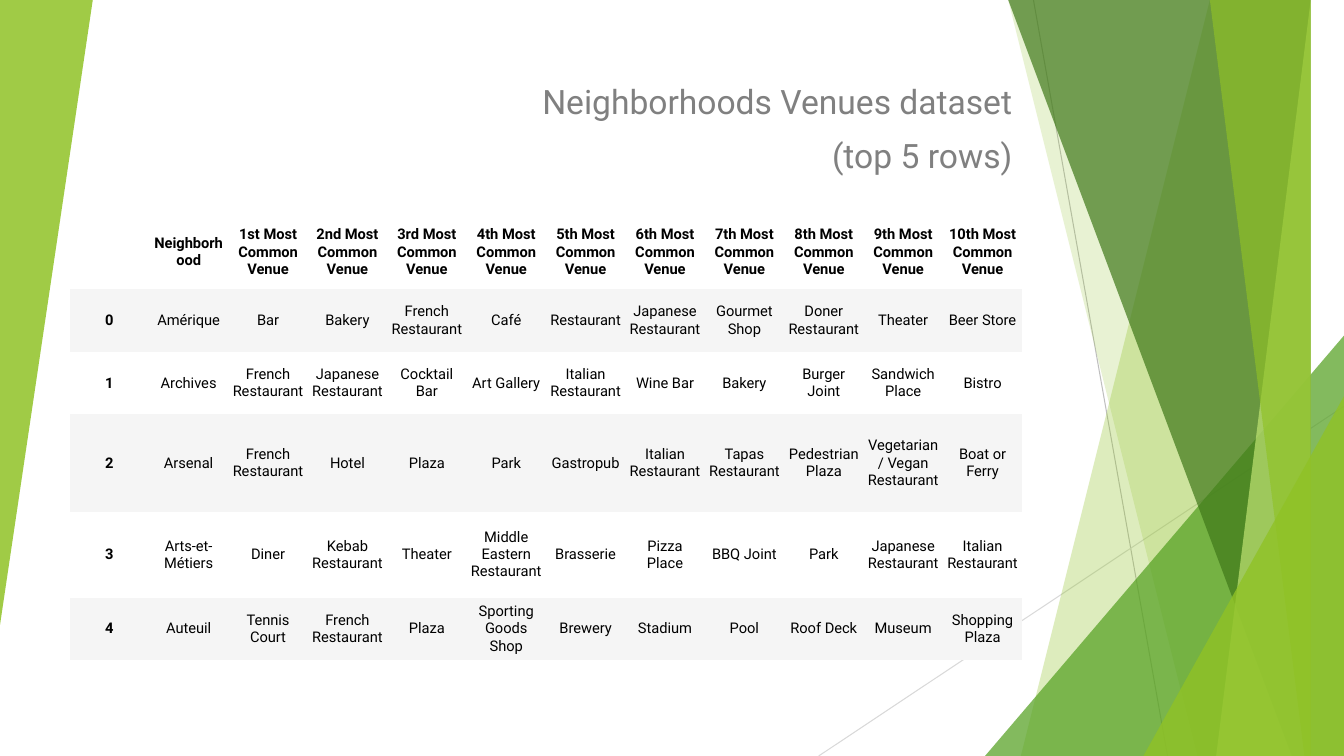
from lxml import etree
from pptx import Presentation
from pptx.dml.color import RGBColor
from pptx.enum.shapes import MSO_CONNECTOR, MSO_SHAPE
from pptx.enum.text import MSO_ANCHOR, MSO_AUTO_SIZE, PP_ALIGN
from pptx.oxml.ns import qn
from pptx.util import Inches, Pt

LINE, TRIANGLE = MSO_CONNECTOR.STRAIGHT, MSO_SHAPE.ISOSCELES_TRIANGLE
TOP, MIDDLE = MSO_ANCHOR.TOP, MSO_ANCHOR.MIDDLE
CENTER, RIGHT = PP_ALIGN.CENTER, PP_ALIGN.RIGHT
NO_FIT = MSO_AUTO_SIZE.NONE
NO_STYLE = "{2D5ABB26-0587-4C30-8999-92F81FD0307C}"
FONT = "Roboto"
WIDE, HIGH, OVER = 13.33, 7.5, -0.01

TITLE = "Neighborhoods Venues dataset\n(top 5 rows)"
RANKS = ["1st", "2nd", "3rd", "4th", "5th", "6th", "7th", "8th", "9th", "10th"]
VENUES = [
    ["Amérique", "Bar", "Bakery", "French Restaurant", "Café", "Restaurant",
     "Japanese Restaurant", "Gourmet Shop", "Doner Restaurant", "Theater",
     "Beer Store"],
    ["Archives", "French Restaurant", "Japanese Restaurant", "Cocktail Bar",
     "Art Gallery", "Italian Restaurant", "Wine Bar", "Bakery",
     "Burger Joint", "Sandwich Place", "Bistro"],
    ["Arsenal", "French Restaurant", "Hotel", "Plaza", "Park", "Gastropub",
     "Italian Restaurant", "Tapas Restaurant", "Pedestrian Plaza",
     "Vegetarian / Vegan Restaurant", "Boat or Ferry"],
    ["Arts-et-Métiers", "Diner", "Kebab Restaurant", "Theater",
     "Middle Eastern Restaurant", "Brasserie", "Pizza Place", "BBQ Joint",
     "Park", "Japanese Restaurant", "Italian Restaurant"],
    ["Auteuil", "Tennis Court", "French Restaurant", "Plaza",
     "Sporting Goods Shop", "Brewery", "Stadium", "Pool", "Roof Deck",
     "Museum", "Shopping Plaza"],
]
HEIGHTS = [0.74, 0.62, 0.62, 0.97, 0.85, 0.62]
RAYS = [((10.25, 0), (11.58, HIGH), "BFBFBF"),
        ((WIDE, 4.03), (8.12, HIGH), "D9D9D9")]
# Bands reach the right edge: top left x, bottom left x, colour, opacity.
# Wedges: left, top, width, height, turn, colour, opacity.
DECOR = [
    ("band", 12.28, 10.04, "90C226", 30),
    ("band", 10.5, 11.83, "90C226", 20),
    ("wedge", 9.77, 3.33, 3.56, 4.17, 0, "54A021", 72),
    ("band", 10.21, 12.91, "3F7819", 70),
    ("band", 13.03, 11.92, "C0E474", 70),
    ("band", 11.96, 13.18, "90C226", 65),
    ("wedge", 11.34, 3.93, 1.99, 3.57, 0, "90C226", 80),
    ("wedge", 0, 0, 0.92, 6.2, 180, "90C226", 85),
]


def paint(item, color):
    item.fill.solid()
    item.fill.fore_color.rgb = RGBColor.from_string(color)


def glaze(shape, color, alpha):
    """Fill a shape with a translucent colour, without line or shadow."""
    shape.shadow.inherit = False
    shape.line.fill.background()
    paint(shape, color)
    tone = shape._element.spPr.find(qn("a:solidFill"))[0]
    etree.SubElement(tone, qn("a:alpha")).set("val", str(alpha * 1000))


def style(run, size, color, bold=False):
    run.font.name, run.font.size, run.font.bold = FONT, Pt(size), bold
    run.font.color.rgb = RGBColor.from_string(color)


def add_ray(shapes, start, end, color):
    ray = shapes.add_connector(LINE, *map(Inches, start + end))
    ray.line.width = Pt(0.75)
    ray.line.color.rgb = RGBColor.from_string(color)
    etree.SubElement(ray._element.spPr, qn("a:effectLst"))


def add_band(shapes, top, foot, color, alpha):
    path = shapes.build_freeform(top, OVER, Inches(1))
    path.add_line_segments([(WIDE, OVER), (WIDE, HIGH), (foot, HIGH)])
    glaze(path.convert_to_shape(), color, alpha)


def add_wedge(shapes, x, y, w, h, turn, color, alpha):
    wedge = shapes.add_shape(TRIANGLE, *map(Inches, (x, y, w, h)))
    wedge.adjustments[0] = 1
    wedge.rotation = turn
    glaze(wedge, color, alpha)


def set_title(title):
    title.left, title.top = Inches(1.65), Inches(0.75)
    title.width, title.height = Inches(8.49), Inches(1.02)
    frame = title.text_frame
    frame.text = TITLE
    frame.vertical_anchor, frame.auto_size = TOP, NO_FIT
    for para in frame.paragraphs:
        para.alignment, para.space_before = RIGHT, Pt(10)
        style(para.runs[0], 24, "808080")


def add_venues(shapes):
    head = ["", "Neighborhood"] + [f"{rank} Most Common Venue" for rank in RANKS]
    rows = [head] + [[str(n)] + row for n, row in enumerate(VENUES)]
    area = map(Inches, (0.69, 2.13, 9.45, sum(HEIGHTS)))
    table = shapes.add_table(len(rows), len(head), *area).table
    table._tbl.tblPr.find(qn("a:tableStyleId")).text = NO_STYLE
    for r, row in enumerate(rows):
        table.rows[r].height = Inches(HEIGHTS[r])
        for c, text in enumerate(row):
            cell = table.cell(r, c)
            paint(cell, "F5F5F5" if r % 2 else "FFFFFF")
            cell.vertical_anchor = MIDDLE
            cell.margin_left = cell.margin_right = Inches(0.04)
            cell.margin_top = cell.margin_bottom = Inches(0.02)
            if text:
                cell.text = text
                para = cell.text_frame.paragraphs[0]
                para.alignment = CENTER
                style(para.runs[0], 10.5, "000000", r == 0 or c == 0)


def main():
    deck = Presentation()
    deck.slide_width, deck.slide_height = Inches(WIDE), Inches(HIGH)
    slide = deck.slides.add_slide(deck.slide_layouts[5])
    shapes = slide.shapes
    for ray in RAYS:
        add_ray(shapes, *ray)
    for kind, *spec in DECOR:
        draw = add_band if kind == "band" else add_wedge
        draw(shapes, *spec)
    set_title(shapes.title)
    add_venues(shapes)
    deck.save("out.pptx")


if __name__ == "__main__":
    main()
